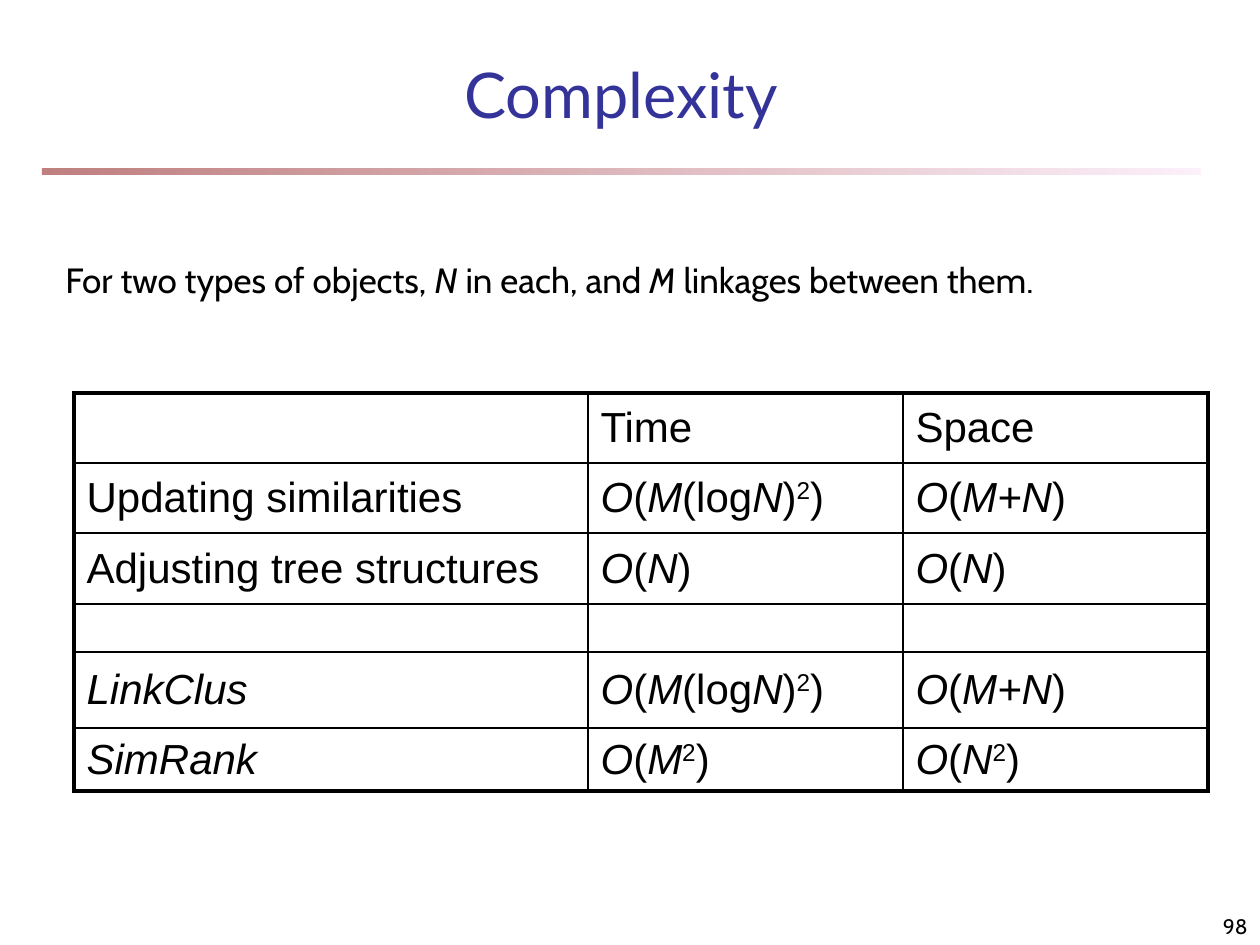
"""Build the Complexity slide with its table of time and space costs."""
from lxml.etree import SubElement
from pptx import Presentation
from pptx.dml.color import RGBColor
from pptx.enum.shapes import MSO_SHAPE as SHAPE
from pptx.enum.text import MSO_ANCHOR as ANCHOR, PP_ALIGN as ALIGN
from pptx.oxml.ns import qn
from pptx.util import Emu, Pt

PX = 914400 // 126
BLACK = RGBColor(0x00, 0x00, 0x00)
INDIGO = RGBColor(0x33, 0x33, 0x99)
MAROON = RGBColor(0x80, 0x00, 0x00)
PINK = RGBColor(0xFA, 0xE2, 0xF6)


def box(*lengths):
    return [Emu(n * PX) for n in lengths]


def write(p, text, size, font, color=BLACK):
    for piece in text.split("|"):
        r = p.add_run()
        r.text = piece.lstrip("/^")
        r.font.size, r.font.name = Pt(size), font
        r.font.color.rgb = color
        if piece.startswith("/"):
            r.font.italic = True
        if piece.startswith("^"):
            r._r.get_or_add_rPr().set("baseline", "30000")


prs = Presentation()
prs.slide_width, prs.slide_height = box(1260, 945)
s = prs.slides.add_slide(prs.slide_layouts[5])

rule = s.shapes.add_shape(SHAPE.RECTANGLE, *box(42, 168, 1159, 7))
rule.shadow.inherit = False
rule.line.fill.background()
rule.fill.gradient()
rule.fill.gradient_angle = 0
for stop, color, position in zip(rule.fill.gradient_stops, (MAROON, PINK), (0, 1)):
    stop.color.rgb = color
    stop.position = position
for color in rule._element.iter(qn("a:srgbClr")):
    SubElement(color, qn("a:alpha"), val="50000")

title = s.shapes.title
title.left, title.top, title.width, title.height = box(84, 53, 1074, 84)
tf = title.text_frame
tf.vertical_anchor = ANCHOR.BOTTOM
tf.paragraphs[0].alignment = ALIGN.CENTER
write(tf.paragraphs[0], "Complexity", 36, "Lato", INDIGO)

ROWS = [
    (70, "", "Time", "Space"),
    (70, "Updating similarities", "/O|(|/M|(log|/N|)|^2|)", "/O|(|/M+N|)"),
    (71, "Adjusting tree structures", "/O|(|/N|)", "/O|(|/N|)"),
    (48, "", "", ""),
    (76, "/LinkClus", "/O|(|/M|(log|/N|)|^2|)", "/O|(|/M+N|)"),
    (63, "/SimRank", "/O|(|/M|^2|)", "/O|(|/N|^2|)"),
]
COLUMNS = (514, 315, 305)
table = s.shapes.add_table(len(ROWS), len(COLUMNS), *box(74, 393, 1134, 398)).table
table.first_row = table.horz_banding = False
for column, width in zip(table.columns, COLUMNS):
    column.width = Emu(width * PX)
for i, (height, *texts) in enumerate(ROWS):
    table.rows[i].height = Emu(height * PX)
    for j, text in enumerate(texts):
        cell = table.cell(i, j)
        cell.vertical_anchor = ANCHOR.MIDDLE
        outer = {"L": j == 0, "R": j == len(COLUMNS) - 1,
                 "T": i == 0, "B": i == len(ROWS) - 1}
        for side, is_outer in outer.items():
            width = Pt(2.25 if is_outer else 1)
            ln = SubElement(cell._tc.get_or_add_tcPr(), qn(f"a:ln{side}"), w=str(width))
            SubElement(SubElement(ln, qn("a:solidFill")), qn("a:srgbClr"), val=str(BLACK))
        cell.fill.background()
        if text:
            write(cell.text_frame.paragraphs[0], text, 24, "Arial")
        else:
            cell.margin_top = cell.margin_bottom = 0

NOTES = [
    ((53, 252, 1155, 54), "For two types of objects, |/N| in each, and |/M| linkages between them.",
     20, ALIGN.LEFT, ANCHOR.TOP),
    ((998, 892, 262, 53), "98", 12, ALIGN.RIGHT, ANCHOR.BOTTOM),
]
for place, text, size, align, anchor in NOTES:
    tf = s.shapes.add_textbox(*box(*place)).text_frame
    tf.word_wrap = True
    tf.vertical_anchor = anchor
    tf.paragraphs[0].alignment = align
    write(tf.paragraphs[0], text, size, "Cabin")

prs.save("out.pptx")
